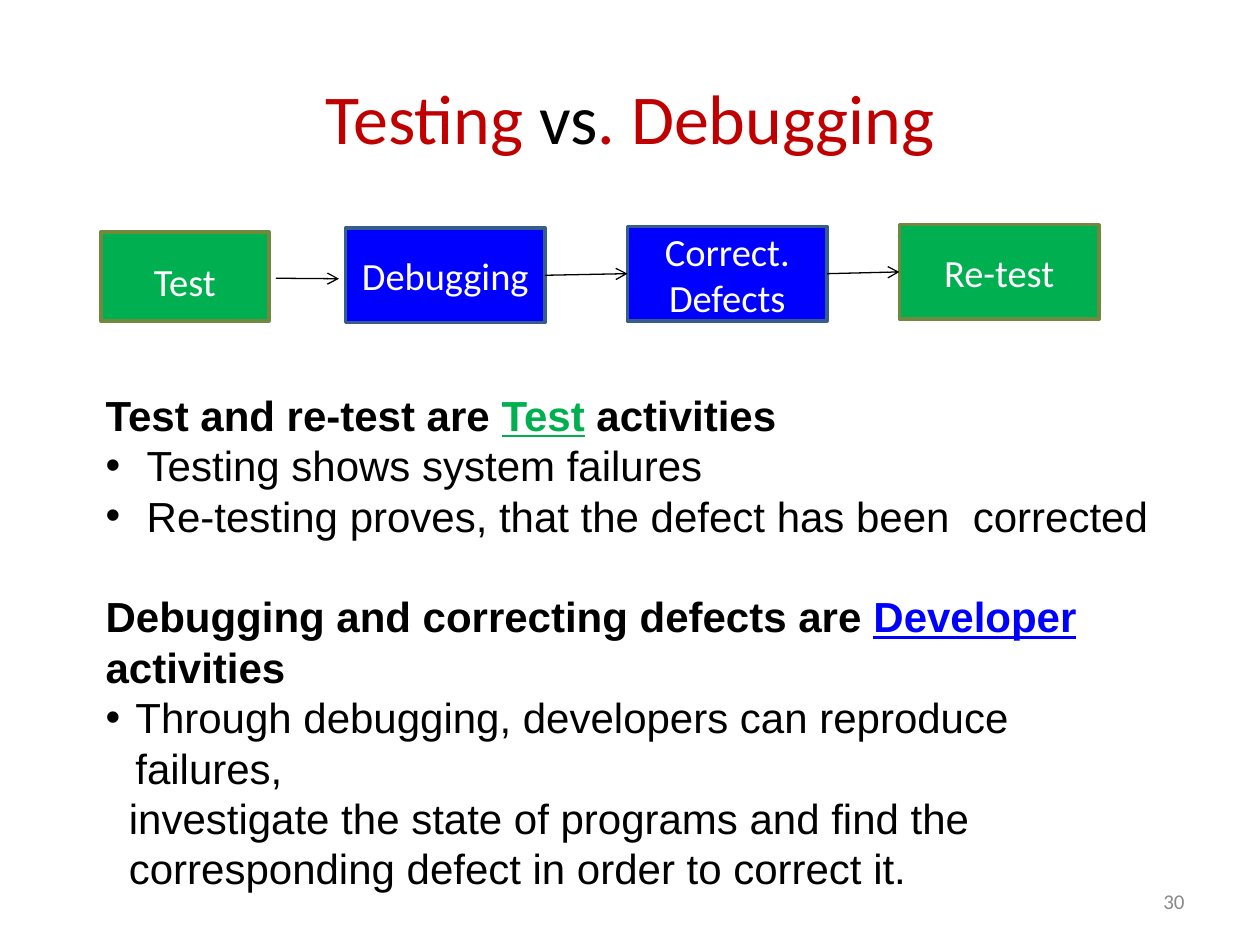
from lxml.etree import SubElement
from pptx import Presentation
from pptx.dml.color import RGBColor
from pptx.enum.shapes import MSO_CONNECTOR, MSO_SHAPE
from pptx.enum.text import MSO_ANCHOR, PP_ALIGN
from pptx.oxml.ns import qn
from pptx.util import Pt

BLACK, WHITE, RED, GREY = "000000", "FFFFFF", "C00000", "898989"
GREEN, OLIVE, BLUE, NAVY = "00B050", "71893F", "0000FF", "385D8A"
LINE = 28.8


def rgb(value):
    return RGBColor.from_string(value)


def set_frame(tf, anchor=MSO_ANCHOR.MIDDLE, insets=(7.2, 3.6, 7.2, 3.6)):
    tf.word_wrap = True
    tf.vertical_anchor = anchor
    for side, inset in zip(("left", "top", "right", "bottom"), insets):
        setattr(tf, f"margin_{side}", Pt(inset))


def add_runs(p, runs, size, name):
    """Each run is (text, colour, further font values)."""
    for text, color, extra in runs:
        r = p.add_run()
        r.text = text
        r.font.color.rgb = rgb(color)
        for key, value in {"size": Pt(size), "name": name, **extra}.items():
            setattr(r.font, key, value)


def add_label(s, box, runs, size, align):
    tf = s.shapes.add_textbox(*map(Pt, box)).text_frame
    set_frame(tf)
    p = tf.paragraphs[0]
    p.alignment = align
    add_runs(p, runs, size, "Calibri")


def add_step(s, text, box, fill, line, top_inset=3.6):
    sp = s.shapes.add_shape(MSO_SHAPE.RECTANGLE, *map(Pt, box))
    sp.shadow.inherit = False
    sp.fill.solid()
    sp.fill.fore_color.rgb = rgb(fill)
    sp.line.color.rgb = rgb(line)
    sp.line.width = Pt(2)
    set_frame(sp.text_frame, insets=(7.2, top_inset, 7.2, 3.6))
    p = sp.text_frame.paragraphs[0]
    p.alignment = PP_ALIGN.CENTER
    add_runs(p, [(text, WHITE, {})], 22, "Calibri")
    return sp


def add_arrow(s, start=(0, 0), end=(0, 0), join=None):
    c = s.shapes.add_connector(MSO_CONNECTOR.STRAIGHT, *map(Pt, start + end))
    if join:
        c.begin_connect(join[0], 3)
        c.end_connect(join[1], 1)
    c.line.color.rgb = rgb(BLACK)
    c.line.width = Pt(0.75)
    SubElement(c.line._get_or_add_ln(), qn("a:tailEnd"), type="arrow")
    SubElement(c._element.spPr, qn("a:effectLst"))


def add_paragraph(tf, runs, margin=0, bullet=False, before=0):
    p = tf.paragraphs[0] if not tf.paragraphs[0].runs else tf.add_paragraph()
    pPr = p._p.get_or_add_pPr()
    pPr.set("marL", str(Pt(margin)))
    if bullet:
        pPr.set("indent", str(-Pt(margin)))
        SubElement(pPr, qn("a:buFont"), typeface="Arial")
        SubElement(pPr, qn("a:buChar"), char="•")
    p.line_spacing = Pt(LINE)
    if before:
        p.space_before = Pt(before)
    add_runs(p, runs, 24, "Arial")


def add_body(s):
    tf = s.shapes.add_textbox(Pt(53.3), Pt(208.1), Pt(620), Pt(273.6)).text_frame
    set_frame(tf, MSO_ANCHOR.TOP, (7.2, 14.4, 10, 0))
    bold = {"bold": True}
    key = {"bold": True, "underline": True}

    # Test activities
    add_paragraph(tf, [("Test and re-test are ", BLACK, bold), ("Test", GREEN, key),
                       (" activities", BLACK, bold)])
    for text in ("Testing shows system failures",
                 "Re-testing proves, that the defect has been  corrected"):
        add_paragraph(tf, [(text, BLACK, {})], margin=23.5, bullet=True)

    # Developer activities
    add_paragraph(tf, [("Debugging and correcting defects are ", BLACK, bold),
                       ("Developer", BLUE, key), (" activities", BLACK, bold)],
                  before=LINE)
    add_paragraph(tf, [("Through debugging, developers can reproduce failures,", BLACK, {})],
                  margin=17, bullet=True)
    for text in ("investigate the state of programs and find the",
                 "corresponding defect in order to correct it."):
        add_paragraph(tf, [(text, BLACK, {})], margin=13.3)


def main():
    prs = Presentation()
    prs.slide_width, prs.slide_height = Pt(720), Pt(540)
    s = prs.slides.add_slide(prs.slide_layouts[6])

    # Title and slide number
    add_label(s, (36, 21.6, 648, 90),
              [("Testing ", RED, {}), ("vs", BLACK, {}), (". Debugging", RED, {})],
              40, PP_ALIGN.CENTER)
    add_label(s, (516, 500.5, 168, 28.8), [("30", GREY, {})], 12, PP_ALIGN.RIGHT)

    # Process chain
    add_step(s, "Test", (57.6, 132.5, 96, 51), GREEN, OLIVE, top_inset=9.1)
    debugging = add_step(s, "Debugging", (197.5, 130.3, 114, 54), BLUE, NAVY)
    correcting = add_step(s, "Correct. Defects", (358.6, 129.4, 114, 54), BLUE, NAVY)
    retest = add_step(s, "Re-test", (514, 128.4, 114, 54), GREEN, OLIVE)
    add_arrow(s, (157.7, 159), (193.7, 159.3))
    for pair in ((debugging, correcting), (correcting, retest)):
        add_arrow(s, join=pair)

    add_body(s)
    prs.save("out.pptx")


if __name__ == "__main__":
    main()
